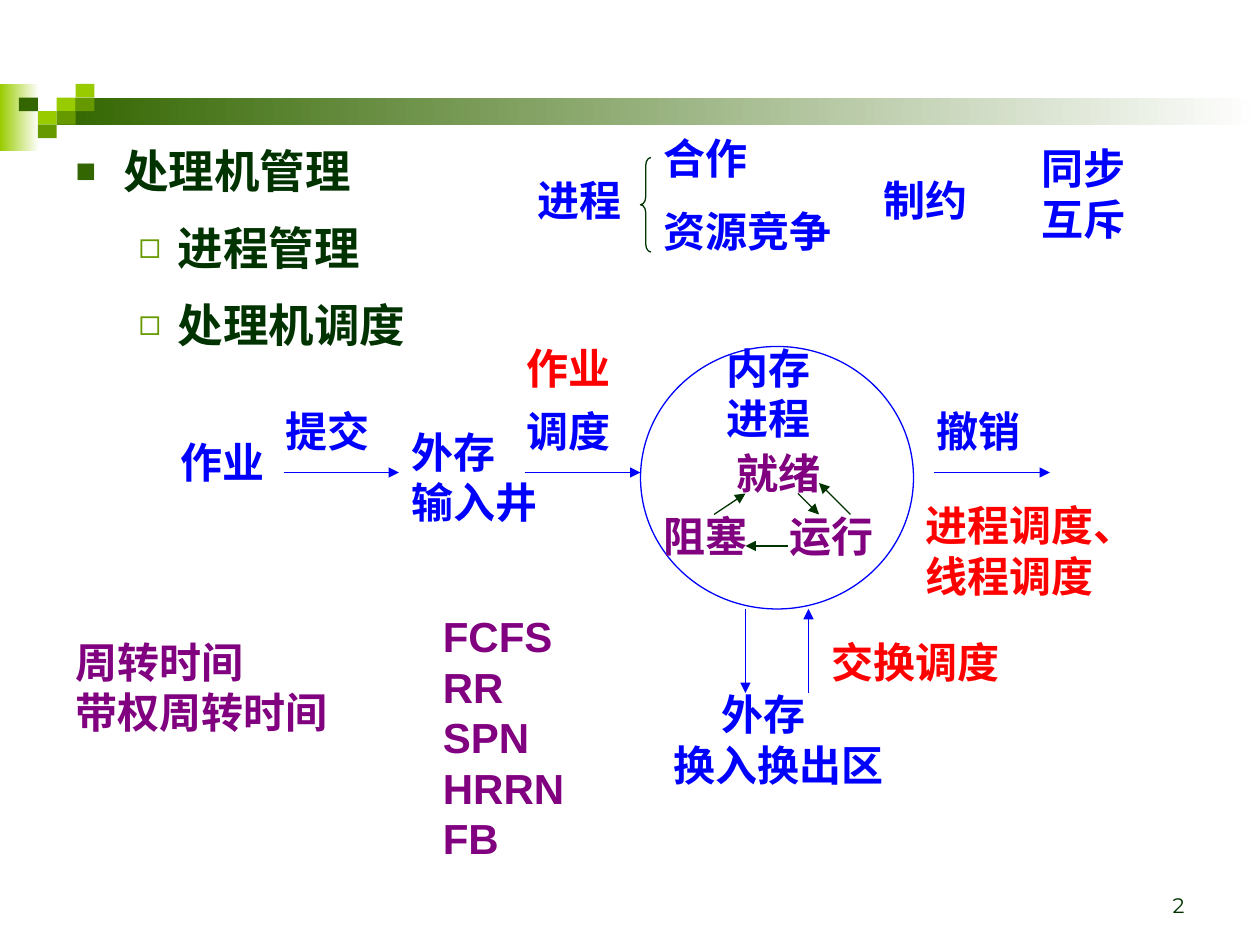
from lxml.etree import SubElement
from pptx import Presentation
from pptx.dml.color import RGBColor
from pptx.enum.shapes import MSO_CONNECTOR as Connector, MSO_SHAPE as Preset
from pptx.enum.text import MSO_ANCHOR as Anchor, MSO_AUTO_SIZE as AutoSize, PP_ALIGN as Align
from pptx.oxml.ns import qn
from pptx.util import Inches, Pt

BLUE, RED, PURPLE = "0000FF", "FF0000", "800080"
DARK, FOREST, LEAF, LIME, WHITE = "003300", "336600", "669900", "99CC00", "FFFFFF"

deck = Presentation()
deck.slide_width, deck.slide_height = Inches(10), Inches(7.5)
slide = deck.slides.add_slide(deck.slide_layouts[1])
shapes = slide.shapes
column, row = deck.slide_width / 120, deck.slide_height / 90


def paint(fill, *colours):
    if len(colours) == 1:
        fill.solid()
        fill.fore_color.rgb = RGBColor.from_string(colours[0])
    else:
        fill.gradient()
        fill.gradient_angle = 0
        for stop, colour in zip(fill.gradient_stops, colours):
            stop.color.rgb = RGBColor.from_string(colour)


def write(frame, text, colour=BLUE, size=24, bold=True, font="Arial", spacing=Pt(28.8),
          before=0, align=None, anchor=Anchor.TOP, fit=AutoSize.NONE, bullets=(), indent=0):
    frame.word_wrap, frame.auto_size, frame.vertical_anchor = True, fit, anchor
    for index, words in enumerate(text.split("\n")):
        line = frame.paragraphs[0] if index == 0 else frame.add_paragraph()
        if bullets:
            level, mark, tint, percent, left, hang = bullets[index]
            line.level = level
            properties = line._p.get_or_add_pPr()
            properties.set("marL", str(Inches(left)))
            properties.set("indent", str(-Inches(hang)))
            SubElement(SubElement(properties, qn("a:buClr")), qn("a:srgbClr"), val=tint)
            SubElement(properties, qn("a:buSzPct"), val=str(percent * 1000))
            SubElement(properties, qn("a:buChar"), char=mark)
        elif indent and index == 0:
            line._p.get_or_add_pPr().set("marL", str(Inches(indent)))
        line.alignment, line.line_spacing = align, spacing
        line.space_before = Pt(before if index else 0)
        run = line.add_run()
        run.text = words
        run.font.size, run.font.bold, run.font.name = Pt(size), bold, font
        paint(run.font.fill, colour)
        SubElement(run._r.get_or_add_rPr(), qn("a:ea"), typeface=font)


pixel_width, pixel_height = 1.8, 1.29
for left, top, width, height, colours in [
    (0, 8, 3.72, 6.36, (LIME, WHITE)),
    (5.4, 9.29, 114.6, 2.64, (FOREST, WHITE)),
    *[(x * pixel_width, 8 + y * pixel_height, pixel_width, pixel_height, (colour,))
      for x, y, colour in [(3, 1, LIME), (4, 0, LIME), (4, 1, LEAF), (2, 2, LIME),
                           (1, 1, FOREST), (3, 2, LEAF), (2, 3, LEAF)]],
]:
    block = shapes.add_shape(Preset.RECTANGLE, int(left * column), int(top * row),
                             int(width * column), int(height * row))
    block.shadow.inherit = False
    block.line.fill.background()
    paint(block.fill, *colours)

heading = shapes.title
heading._element.getparent().remove(heading._element)
topics = slide.placeholders[1]
topics.left, topics.top = int(6 * column), int(12 * row)
topics.width, topics.height = int(108 * column), int(22 * row)
subtopic = (1, "◻", LEAF, 80, 0.81, 0.31)
write(topics.text_frame, "处理机管理\n进程管理\n处理机调度", colour=DARK, size=26, spacing=1.2,
      before=6.5, bullets=[(0, "■", FOREST, 75, 0.38, 0.38), subtopic, subtopic])

for preset, left, top, width, height, colour in [
    (Preset.OVAL, 61, 33, 26, 25, BLUE),
    (Preset.LEFT_BRACE, 61, 15, 1, 9, DARK),
]:
    outline = shapes.add_shape(preset, int(left * column), int(top * row),
                               int(width * column), int(height * row))
    outline.shadow.inherit = False
    outline.fill.background()
    outline.line.width = Pt(0.75)
    paint(outline.line.fill, colour)
outline.adjustments[0] = 0.75

for x1, y1, x2, y2, colour in [
    (27, 45, 38, 45, BLUE), (50, 45, 61, 45, BLUE), (89, 45, 100, 45, BLUE),
    (71, 58, 71, 66, BLUE), (77, 66, 77, 58, BLUE),
    (68, 49, 71, 47, DARK), (76, 47, 78, 49, DARK),
    (81, 49, 78, 46, DARK), (75, 52, 71, 52, DARK),
]:
    arrow = shapes.add_connector(Connector.STRAIGHT, int(x1 * column), int(y1 * row),
                                 int(x2 * column), int(y2 * row))
    arrow.line.width = Pt(0.75)
    paint(arrow.line.fill, colour)
    SubElement(arrow.line._get_or_add_ln(), qn("a:tailEnd"), type="triangle")
    SubElement(arrow._element.spPr, qn("a:effectLst"))

for text, left, top, width, style in [
    ("作业", 16, 41, 12, {}),
    ("提交", 26, 38, 12, {}),
    ("外存\n输入井", 38, 40, 17, {}),
    ("调度", 49, 38, 12, {}),
    ("内存\n进程", 68, 32, 12, {}),
    ("就绪", 69, 42, 12, {"colour": PURPLE}),
    ("运行", 74, 48, 12, {"colour": PURPLE}),
    ("阻塞", 62, 48, 12, {"colour": PURPLE}),
    ("撤销", 88, 38, 12, {}),
    ("外存\n换入换出区", 63, 65, 23, {"indent": 0.38}),
    ("作业", 49, 32, 12, {"colour": RED}),
    ("进程调度、线程调度", 87, 47, 24, {"colour": RED}),
    ("交换调度", 78, 60, 24, {"colour": RED}),
    ("进程", 50, 16, 12, {}),
    ("合作", 62, 12, 12, {}),
    ("资源竞争", 62, 19, 19, {}),
    ("制约", 83, 16, 12, {}),
    ("同步\n互斥", 98, 13, 12, {}),
    ("FCFS\nRR\nSPN\nHRRN\nFB", 41, 57.6, 23, {"colour": PURPLE}),
    ("周转时间\n带权周转时间", 6, 60, 28, {"colour": PURPLE}),
]:
    lines = 2 if len(text) == 9 and "、" in text else text.count("\n") + 1
    label = shapes.add_textbox(int(left * column), int(top * row), int(width * column),
                               int((1.2 + 4.8 * lines) * row))
    write(label.text_frame, text, fit=AutoSize.SHAPE_TO_FIT_TEXT, **style)

number = shapes.add_textbox(int(86 * column), int(82 * row), int(28 * column), int(6 * row))
write(number.text_frame, "2", colour=DARK, size=12, bold=False, font="Montserrat",
      spacing=1.0, align=Align.RIGHT, anchor=Anchor.BOTTOM)

deck.save("out.pptx")
